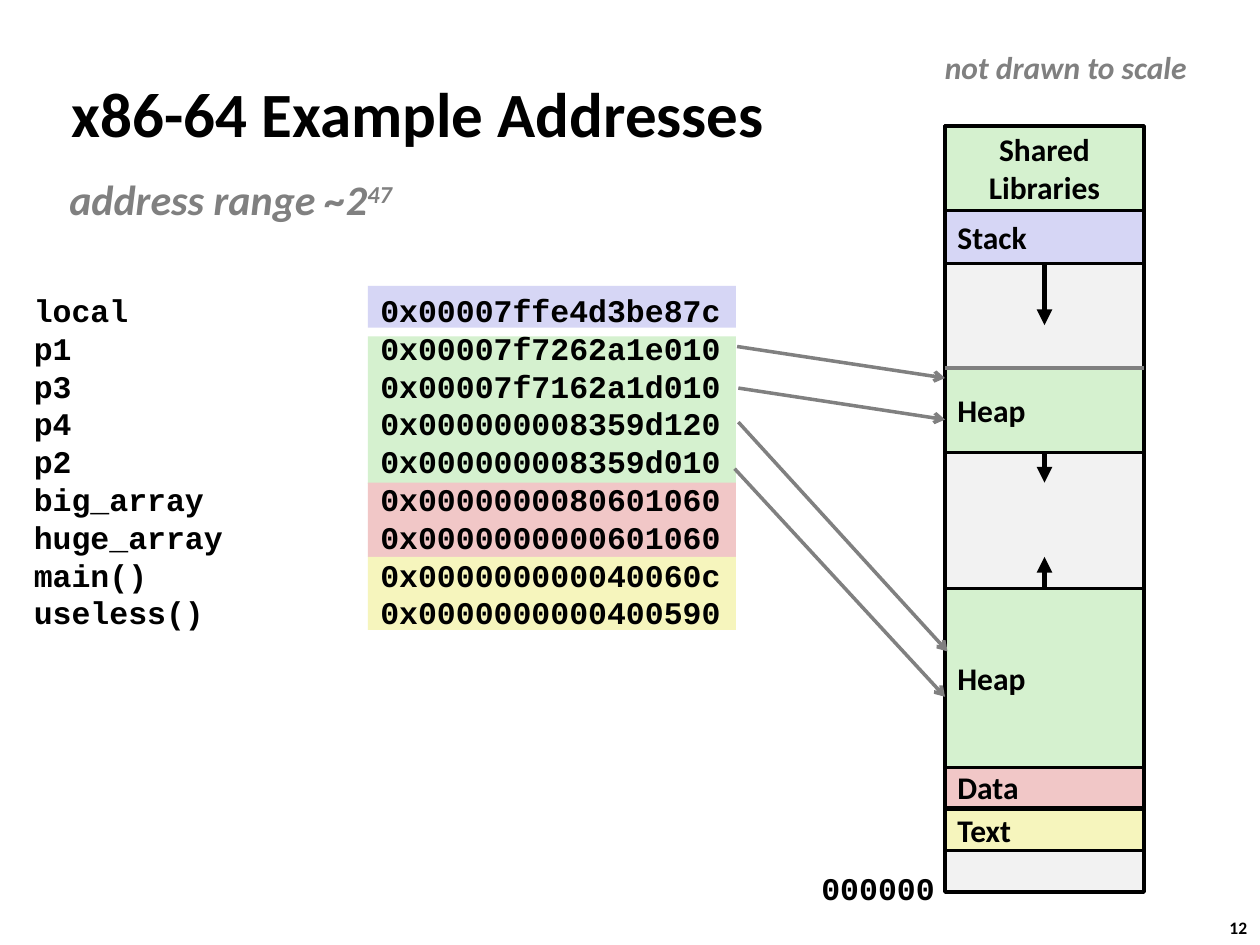
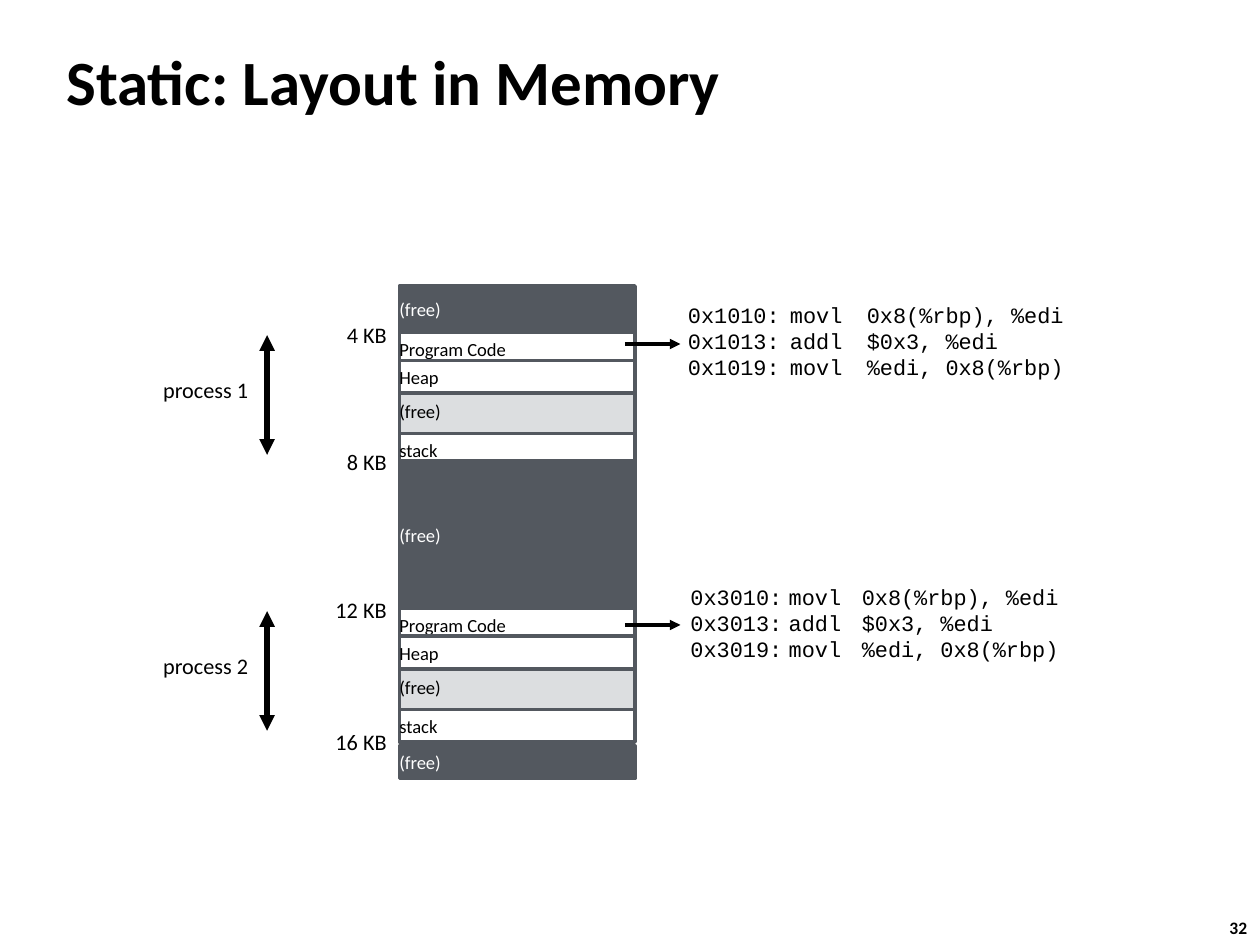
from lxml.etree import SubElement
from pptx import Presentation
from pptx.dml.color import RGBColor
from pptx.enum.shapes import MSO_CONNECTOR, MSO_SHAPE
from pptx.enum.text import MSO_ANCHOR, PP_ALIGN
from pptx.oxml.ns import qn
from pptx.util import Pt

PX = 9144  # EMU per px, 100 px to the inch
BLACK, WHITE, GREY = "000000", "FFFFFF", "808080"
GREEN, BLUE, RED, YELLOW, PALE = "D5F1CF", "D6D6F5", "F1C7C7", "F6F5BD", "F2F2F2"
SLATE, SILVER = "53585F", "DCDEE0"
SANS, MONO = "Calibri", "Courier New"
colour = RGBColor.from_string


def add_box(page, frame, text="", size=18, ink=BLACK, fill=None, line=None, font=SANS,
            bold=False, italic=False, align=PP_ALIGN.LEFT, anchor=MSO_ANCHOR.TOP,
            inset=(10, 5), wrap=True, tabs=(), leading=None):
    """Add a filled rectangle, or a text box when fill is None; one paragraph per line."""
    frame = [length * PX for length in frame]
    if fill is None:
        box = page.shapes.add_textbox(*frame)
    else:
        box = page.shapes.add_shape(MSO_SHAPE.RECTANGLE, *frame)
        box.shadow.inherit = False
        box.fill.solid()
        box.fill.fore_color.rgb = colour(fill)
        if line is None:
            box.line.fill.background()
        else:
            box.line.color.rgb = colour(line)
            box.line.width = Pt(2)
    body = box.text_frame
    body.word_wrap = wrap
    body.vertical_anchor = anchor
    body.margin_left = body.margin_right = inset[0] * PX
    body.margin_top = body.margin_bottom = inset[1] * PX
    for index, words in enumerate(text.split("\n") if text else []):
        para = body.add_paragraph() if index else body.paragraphs[0]
        para.add_run().text = words
        if tabs:
            stops = SubElement(para._p.get_or_add_pPr(), qn("a:tabLst"))
            for stop in tabs:
                SubElement(stops, qn("a:tab"), pos=str(stop * PX), algn="l")
        para.alignment = align
        if leading:
            para.line_spacing = Pt(leading)
        para.font.name, para.font.size = font, Pt(size)
        para.font.bold, para.font.italic = bold, italic
        para.font.color.rgb = colour(ink)
    return box


def add_line(page, start, end, ink=BLACK, width=2, head=None, tail=None):
    """Add a straight line; head is the arrowhead at start, tail the one at end."""
    link = page.shapes.add_connector(
        MSO_CONNECTOR.STRAIGHT, *[length * PX for length in (*start, *end)])
    link.line.color.rgb = colour(ink)
    link.line.width = Pt(width)
    outline = link.line._get_or_add_ln()
    for tag, kind in (("a:headEnd", head), ("a:tailEnd", tail)):
        if kind:
            SubElement(outline, qn(tag), type=kind)
    SubElement(link._element.spPr, qn("a:effectLst"))


deck = Presentation()
deck.slide_width, deck.slide_height = 1000 * PX, 750 * PX

# Title and page number of each slide
pages = []
for title, title_frame, number in (
    ("x86-64 Example Addresses", (47, 58, 719, 63), "12"),
    ("Static: Layout in Memory", (43, 22, 830, 83), "32"),
):
    page = deck.slides.add_slide(deck.slide_layouts[6])
    add_box(page, title_frame, title, 36, bold=True, anchor=MSO_ANCHOR.MIDDLE)
    add_box(page, (966, 723, 37, 27), number, 10, bold=True, wrap=False)
    pages.append(page)
addresses, layout = pages

# Slide 1: address list on coloured bands
for top, height, fill in ((227, 33, BLUE), (267, 117, GREEN), (383, 59, RED), (442, 58, YELLOW)):
    add_box(addresses, (292, top, 292, height), fill=fill)

symbols = (
    ("local", "0x00007ffe4d3be87c"),
    ("p1", "0x00007f7262a1e010"),
    ("p3", "0x00007f7162a1d010"),
    ("p4", "0x000000008359d120"),
    ("p2", "0x000000008359d010"),
    ("big_array", "0x0000000080601060"),
    ("huge_array", "0x0000000000601060"),
    ("main()", "0x000000000040060c"),
    ("useless()", "0x0000000000400590"),
)
add_box(addresses, (17, 226, 617, 282), "\n".join("\t".join(row) for row in symbols),
        font=MONO, bold=True, tabs=(275,), leading=21.6)

address_range = add_box(addresses, (50, 133, 271, 51), "address range ~2", 24, GREY,
                        bold=True, italic=True, inset=(5, 5), wrap=False)
exponent = address_range.text_frame.paragraphs[0].add_run()
exponent.text = "47"
exponent.font._element.set("baseline", "30000")

add_box(addresses, (642, 685, 111, 40), "000000", font=MONO, bold=True, wrap=False)
add_box(addresses, (740, 33, 213, 40), "not drawn to scale", ink=GREY,
        bold=True, italic=True, wrap=False)

# Memory column and its segments
add_box(addresses, (750, 100, 158, 608), fill=PALE, line=BLACK)
for top, height, name, fill, align in (
    (642, 33, "Text", YELLOW, PP_ALIGN.LEFT),
    (608, 33, "Data", RED, PP_ALIGN.LEFT),
    (467, 142, "Heap", GREEN, PP_ALIGN.LEFT),
    (292, 67, "Heap", GREEN, PP_ALIGN.LEFT),
    (167, 42, "Stack", BLUE, PP_ALIGN.LEFT),
    (100, 67, "Shared\nLibraries", GREEN, PP_ALIGN.CENTER),
):
    add_box(addresses, (750, top, 158, height), name, fill=fill, line=BLACK,
            bold=True, align=align, anchor=MSO_ANCHOR.MIDDLE)
add_line(addresses, (750, 292), (908, 292), GREY)

for start, end in ((208, 258), (358, 383), (467, 442)):
    add_line(addresses, (829, start), (829, end), width=3, tail="triangle")
for start, end in (
    ((585, 275), (750, 300)),
    ((586, 308), (750, 333)),
    ((586, 335), (752, 517)),
    ((583, 372), (750, 553)),
):
    add_line(addresses, start, end, GREY, tail="arrow")

# Slide 2: two processes, one PROCESS_STEP apart, in the memory column
PROCESS_STEP = 219
label_style = dict(size=12.7, align=PP_ALIGN.RIGHT, anchor=MSO_ANCHOR.MIDDLE,
                   inset=(3, 3), wrap=False)
cell_style = dict(size=10.6, line=SLATE, anchor=MSO_ANCHOR.MIDDLE, inset=(0, 0))

for process in range(2):
    shift = process * PROCESS_STEP
    for top, height, name, fill in (
        (308, 37, "(free)", SILVER),
        (264, 26, "Program Code", WHITE),
        (344, 26, "stack", WHITE),
        (286, 26, "Heap", WHITE),
    ):
        add_box(layout, (317, top + shift, 187, height), name, fill=fill, **cell_style)
    add_line(layout, (212, 361 + shift), (212, 266 + shift), width=3,
             head="triangle", tail="triangle")
    add_box(layout, (126, 296 + shift, 74, 27), f"process {process + 1}", **label_style)

for top, height in ((366, 117), (592, 26), (227, 37)):
    add_box(layout, (317, top, 187, height), "(free)", ink=WHITE, fill=SLATE, **cell_style)

for left, top, width, kilobytes in ((271, 252, 39, 4), (271, 353, 39, 8),
                                    (263, 470, 47, 12), (263, 575, 47, 16)):
    add_box(layout, (left, top, width, 27), f"{kilobytes} KB", **label_style)

# Instructions of each process
instructions = (("10", "movl", "0x8(%rbp), %edi"),
                ("13", "addl", "$0x3, %edi"),
                ("19", "movl", "%edi, 0x8(%rbp)"))
for base, left, top, arrow_y, tabs in (("0x10", 546, 239, 273, (81, 142)),
                                       ("0x30", 548, 463, 496, (78, 136))):
    code = "\n".join(f"{base}{offset}:\t{verb}\t{operands}"
                     for offset, verb, operands in instructions)
    add_box(layout, (left, top, 308, 95), code, 12.5, font=MONO, inset=(0, 0),
            tabs=tabs, leading=15)
    add_line(layout, (496, arrow_y), (540, arrow_y), tail="triangle")

deck.save("out.pptx")
